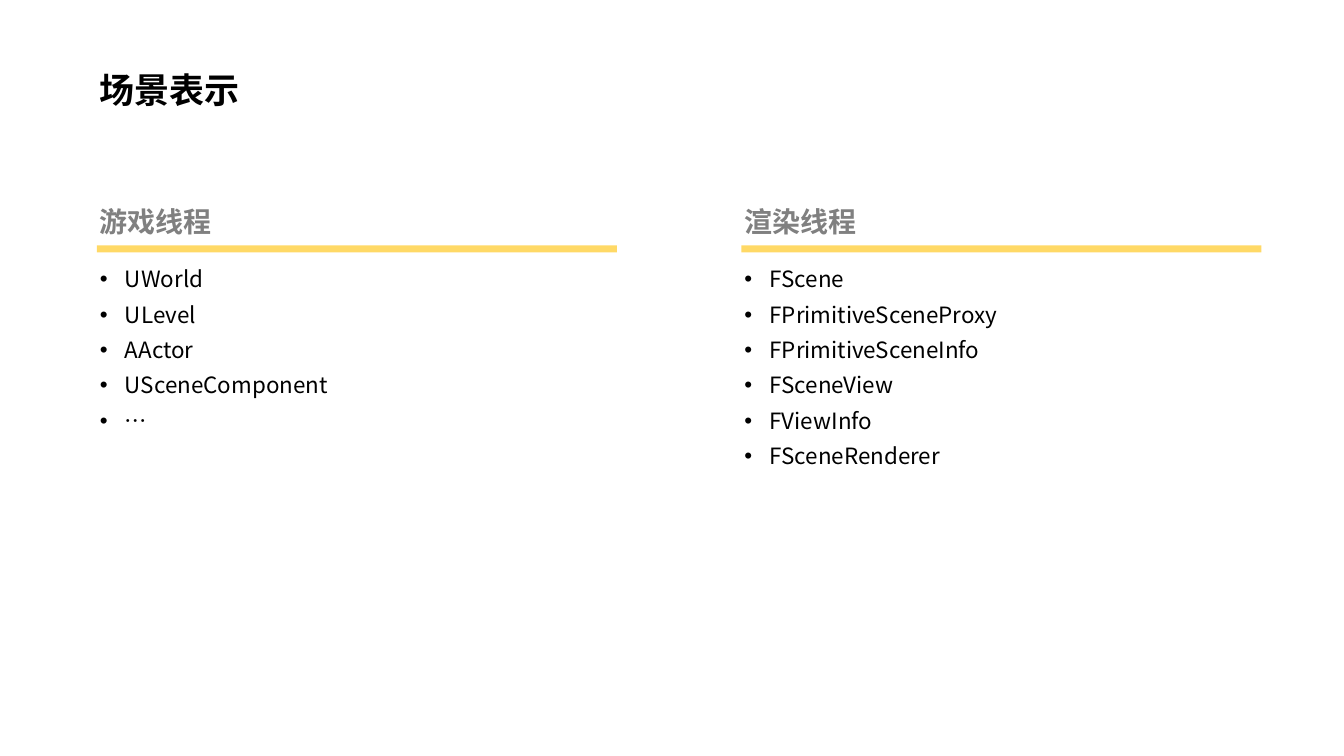
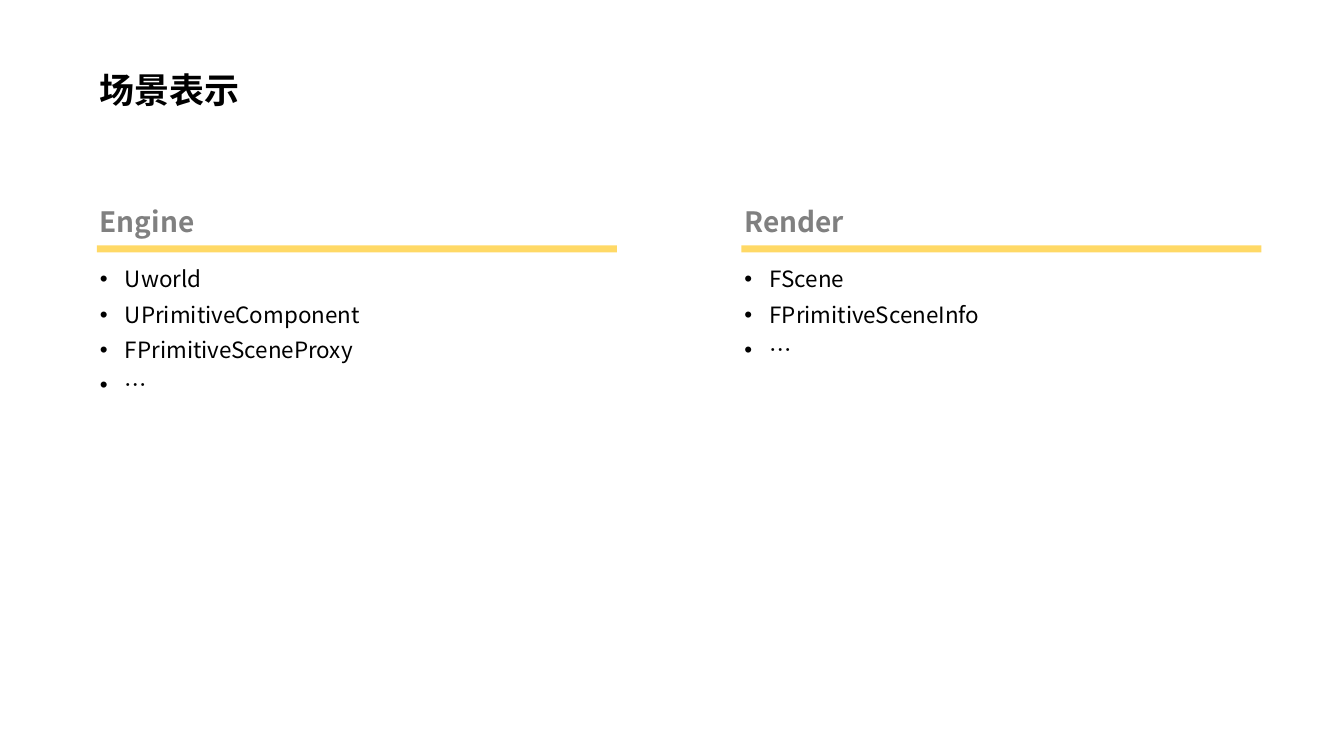
from dataclasses import dataclass

from lxml import etree
from pptx import Presentation
from pptx.dml.color import RGBColor
from pptx.enum.shapes import MSO_SHAPE
from pptx.enum.text import MSO_ANCHOR, MSO_AUTO_SIZE, PP_ALIGN
from pptx.oxml.ns import qn
from pptx.util import Inches, Pt

RECTANGLE = MSO_SHAPE.RECTANGLE
TOP = MSO_ANCHOR.TOP
LEFT = PP_ALIGN.LEFT
FIXED_SIZE = MSO_AUTO_SIZE.NONE


@dataclass(frozen=True)
class Theme:
    font: str = "Noto Sans CJK SC"
    ink: RGBColor = RGBColor(0x00, 0x00, 0x00)
    heading: RGBColor = RGBColor(0x80, 0x80, 0x80)
    rule: RGBColor = RGBColor(0xFF, 0xD9, 0x66)
    title_size: int = 50
    heading_size: int = 40
    list_size: int = 32
    line_height: float = 1.2
    list_gap: int = 6


THEME = Theme()
MARGIN, COLUMN_STEP = 1.92, 12.79
TITLE_TOP, HEADING_TOP, RULE_TOP, LIST_TOP = 1.3, 4, 4.87, 5.21
RULE_WIDTH, LIST_WIDTH = 10.32, 9.31
ROW_HEIGHT = 0.71
INDENT = Inches(0.5)

TITLE = "场景表示"
SLIDES = [
    [
        ("游戏线程", 2.36, 7, ["UWorld", "ULevel", "AActor", "USceneComponent", "…"]),
        ("渲染线程", 2.36, 6, ["FScene", "FPrimitiveSceneProxy", "FPrimitiveSceneInfo",
                           "FSceneView", "FViewInfo", "FSceneRenderer"]),
    ],
    [
        ("Engine", 2.02, 4, ["Uworld", "UPrimitiveComponent", "FPrimitiveSceneProxy", "…"]),
        ("Render", 2.11, 3, ["FScene", "FPrimitiveSceneInfo", "…"]),
    ],
]


def place(box, left, top, width, height):
    box.left, box.top, box.width, box.height = map(Inches, (left, top, width, height))


def write(box, lines, size, color, bold=False, bullets=False):
    frame = box.text_frame
    frame.auto_size = FIXED_SIZE
    frame.word_wrap = bullets
    frame.vertical_anchor = TOP
    frame.margin_left = frame.margin_right = Inches(0.06)
    frame.margin_top = frame.margin_bottom = Inches(0.06)
    frame.text = "\n".join(lines)
    for index, para in enumerate(frame.paragraphs):
        para.alignment = LEFT
        para.line_spacing = Pt(size * THEME.line_height)
        properties = para._p.get_or_add_pPr()
        if bullets:
            para.space_before = Pt(THEME.list_gap if index else 0)
            para.space_after = Pt(THEME.list_gap)
            properties.set("marL", str(INDENT))
            properties.set("indent", str(-INDENT))
            etree.SubElement(properties, qn("a:buFont"), typeface="Arial")
            etree.SubElement(properties, qn("a:buChar"), char="•")
        font = para.font
        font.size, font.bold = Pt(size), bold
        font.color.rgb = color
        font.name = THEME.font
        etree.SubElement(properties.find(qn("a:defRPr")), qn("a:ea"), typeface=THEME.font)


deck = Presentation()
deck.slide_width, deck.slide_height = Inches(26.67), Inches(15)
title_only = deck.slide_layouts[5]

for columns in SLIDES:
    page = deck.slides.add_slide(title_only)
    title = page.shapes.title
    place(title, MARGIN, TITLE_TOP, 2.92, 0.95)
    write(title, [TITLE], THEME.title_size, THEME.ink, bold=True)

    for number, (heading, heading_width, rows, items) in enumerate(columns):
        left = MARGIN + number * COLUMN_STEP

        listing = page.shapes.add_textbox(0, 0, 0, 0)
        place(listing, left, LIST_TOP, LIST_WIDTH, rows * ROW_HEIGHT - 0.07)
        write(listing, items, THEME.list_size, THEME.ink, bullets=True)

        label = page.shapes.add_textbox(0, 0, 0, 0)
        place(label, left, HEADING_TOP, heading_width, 0.79)
        write(label, [heading], THEME.heading_size, THEME.heading, bold=True)

        rule = page.shapes.add_shape(RECTANGLE, 0, 0, 0, 0)
        place(rule, left, RULE_TOP, RULE_WIDTH, 0.14)
        rule.shadow.inherit = False
        rule.fill.solid()
        rule.fill.fore_color.rgb = THEME.rule
        rule.line.fill.background()

deck.save("out.pptx")
